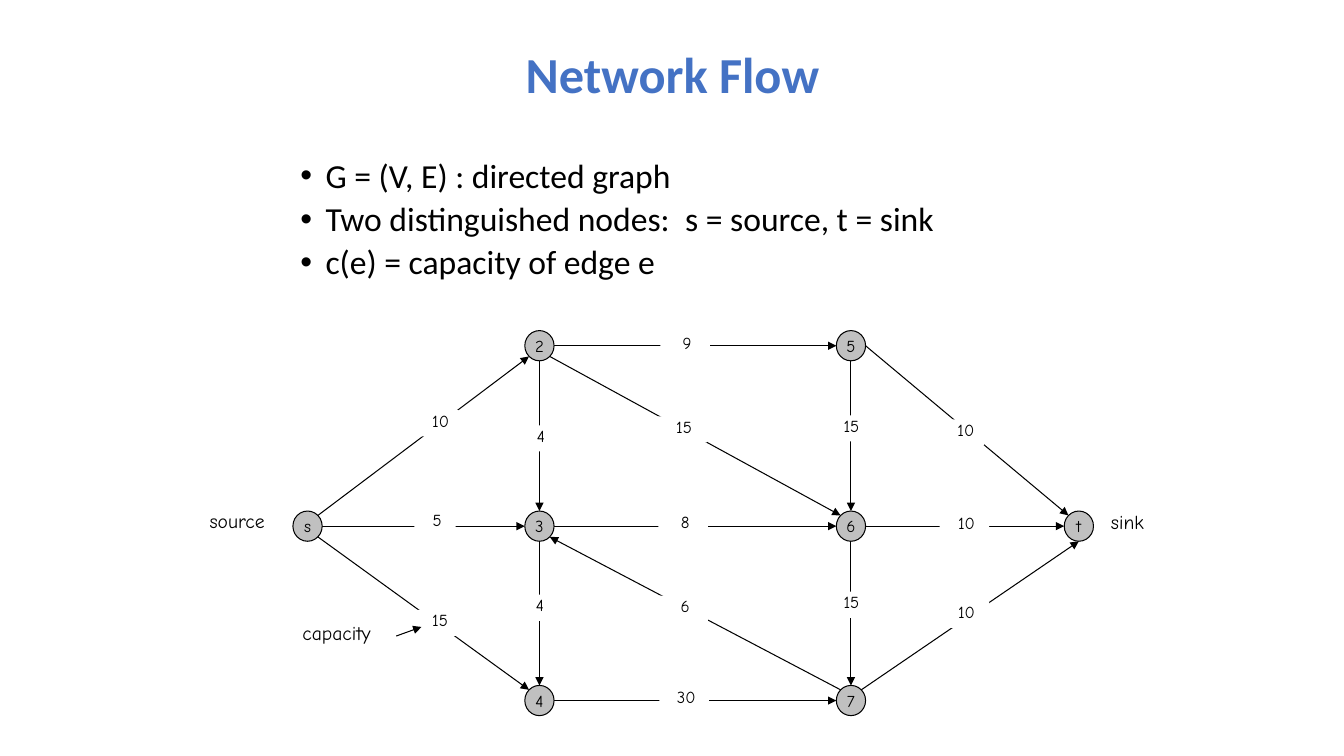
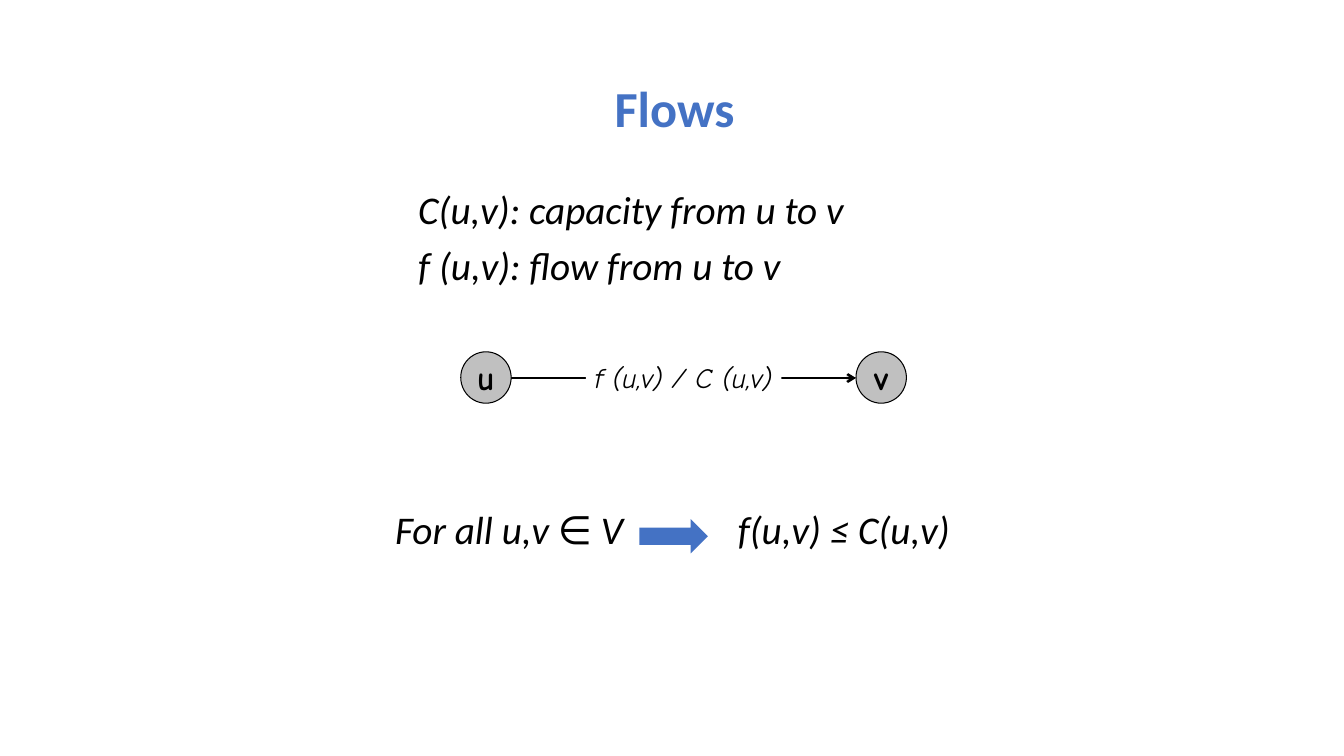
from pptx import Presentation
from pptx.dml.color import RGBColor
from pptx.enum.shapes import MSO_CONNECTOR, MSO_SHAPE
from pptx.enum.text import MSO_ANCHOR, MSO_AUTO_SIZE, PP_ALIGN
from pptx.oxml.ns import qn
from pptx.util import Pt
from lxml.etree import SubElement

SCALE = 9144
BLACK, WHITE, GREY, BLUE = "000000", "FFFFFF", "C0C0C0", "4472C4"
SANS, HAND = "Calibri", "Comic Neue"
INSET = (10, 5, 10, 5)
NONE = (0, 0, 0, 0)
SIDES = {
    "n": (0, -1), "s": (0, 1), "e": (1, 0), "w": (-1, 0),
    "ne": (0.71, -0.71), "nw": (-0.71, -0.71),
    "se": (0.71, 0.71), "sw": (-0.71, 0.71),
}
COLS = (107, 337, 646, 872)
ROWS = (15, 194, 367)
NODES = {
    "s": (0, 1), "2": (1, 0), "3": (1, 1), "4": (1, 2),
    "5": (2, 0), "6": (2, 1), "7": (2, 2), "t": (3, 1),
}
EDGES = (
    ("s", "ne", "2", "sw", "10", 208, 79, 49, 13),
    ("s", "e", "3", "w", "5", 213, 178, 41, 4),
    ("s", "se", "4", "nw", "15", 212, 277, 49, 4),
    ("2", "e", "5", "w", "9", 457, 2, 49, 4),
    ("2", "s", "3", "n", "4", 312, 94, 49, 4),
    ("2", "se", "6", "nw", "15", 454, 85, 49, 4),
    ("3", "e", "6", "w", "8", 455, 180, 49, 4),
    ("3", "s", "4", "n", "4", 311, 262, 49, 4),
    ("4", "e", "7", "w", "30", 456, 353, 49, 4),
    ("5", "s", "6", "n", "15", 620, 84, 49, 4),
    ("5", "e", "t", "nw", "10", 729, 88, 49, 13),
    ("6", "s", "7", "n", "15", 620, 259, 49, 4),
    ("6", "e", "t", "w", "10", 734, 181, 49, 4),
    ("7", "nw", "3", "se", "6", 455, 263, 49, 4),
    ("7", "ne", "t", "s", "10", 734, 269, 49, 4),
)
NOTES = (("source", 0, 172, 85), ("capacity", 92, 283, 101), ("sink", 894, 173, 59))


def px(num):
    """Turn px into EMU."""
    return round(num * SCALE)


def color(code):
    """Turn a hex string into a colour."""
    return RGBColor.from_string(code)


def write(frame, lines, size, font=SANS, ink=BLACK, bold=False, slant=False,
          align=PP_ALIGN.LEFT, anchor=MSO_ANCHOR.TOP, inset=INSET,
          lead=1.0, gap=0, dots=False):
    """Fill a text frame; each line is a list of (text, tracking) runs."""
    frame.word_wrap = True
    frame.auto_size = MSO_AUTO_SIZE.NONE
    frame.vertical_anchor = anchor
    frame.margin_left, frame.margin_top, frame.margin_right, frame.margin_bottom = map(px, inset)
    for num, line in enumerate(lines):
        para = frame.add_paragraph() if num else frame.paragraphs[0]
        para.alignment = align
        para.line_spacing = lead
        para.space_before = Pt(gap if num else 0)
        if dots:
            props = para._p.get_or_add_pPr()
            props.set("marL", str(px(75)))
            props.set("indent", str(px(-25)))
            SubElement(props, qn("a:buFont")).set("typeface", "Arial")
            SubElement(props, qn("a:buChar")).set("char", "•")
        for text, track in line:
            run = para.add_run()
            run.text = text
            face = run.font
            face.name, face.size, face.bold, face.italic = font, Pt(size), bold, slant
            face.color.rgb = color(ink)
            if track:
                run._r.get_or_add_rPr().set("spc", str(track))


def plain(*texts):
    """Make one line of a single run from each text."""
    return [[(text, 0)] for text in texts]


def label(slide, box, lines, size, **style):
    """Add a text box."""
    area = slide.shapes.add_textbox(*map(px, box))
    write(area.text_frame, lines, size, **style)


def shape(slide, kind, box, fill, edge=None):
    """Add a filled shape, outlined if an edge colour is given."""
    item = slide.shapes.add_shape(kind, *map(px, box))
    item.shadow.inherit = False
    item.fill.solid()
    item.fill.fore_color.rgb = color(fill)
    if edge:
        item.line.color.rgb = color(edge)
        item.line.width = Pt(0.75)
    else:
        item.line.fill.background()
    return item


def node(slide, box, name, size, bold=False):
    """Add a round graph node."""
    disc = shape(slide, MSO_SHAPE.OVAL, box, GREY, BLACK)
    write(disc.text_frame, plain(name), size, HAND, bold=bold, inset=NONE,
          align=PP_ALIGN.CENTER, anchor=MSO_ANCHOR.MIDDLE)


def patch(slide, box, text, size, slant=False, shift=0):
    """Add a white label that covers part of an edge."""
    card = shape(slide, MSO_SHAPE.RECTANGLE, box, WHITE)
    write(card.text_frame, plain(text), size, HAND, slant=slant,
          align=PP_ALIGN.CENTER, inset=(shift, 0, 0, 0))


def arrow(slide, start, end, width=0.75, head="triangle"):
    """Add a straight line with a head at its end."""
    line = slide.shapes.add_connector(MSO_CONNECTOR.STRAIGHT, *map(px, start + end))
    line.line.color.rgb = color(BLACK)
    line.line.width = Pt(width)
    SubElement(line.line._get_or_add_ln(), qn("a:tailEnd")).set("type", head)
    SubElement(line._element.spPr, qn("a:effectLst"))


def titled(deck, text, box):
    """Add a slide and set its title."""
    slide = deck.slides.add_slide(deck.slide_layouts[5])
    title = slide.shapes.title
    title.left, title.top, title.width, title.height = map(px, box)
    write(title.text_frame, plain(text), 36, ink=BLUE, bold=True,
          align=PP_ALIGN.CENTER, anchor=MSO_ANCHOR.MIDDLE, lead=0.9)
    return slide


def graph(slide, left, top, wide=29, high=30):
    """Draw the capacity network from its top left corner."""
    spots = {name: (left + COLS[col], top + ROWS[row])
             for name, (col, row) in NODES.items()}

    def port(name, side):
        """Find a point on the rim of a node."""
        (x, y), (dx, dy) = spots[name], SIDES[side]
        return x + dx * wide / 2, y + dy * high / 2

    for tail, out, head, into, cap, x, y, width, shift in EDGES:
        arrow(slide, port(tail, out), port(head, into))
        patch(slide, (left + x, top + y, width, 26), cap, 12, shift=shift)
    for name, (x, y) in spots.items():
        node(slide, (x - wide / 2, y - high / 2, wide, high), name, 12)
    for text, x, y, width in NOTES:
        label(slide, (left + x, top + y, width, 41), plain(text), 14, font=HAND)
    arrow(slide, (left + 195, top + 303), (left + 220, top + 294))


def pair(slide, left, top):
    """Draw the edge from u to v from its top left corner."""
    mid = top + 26
    arrow(slide, (left + 50, mid), (left + 392, mid), 1.75, "arrow")
    patch(slide, (left + 224, top + 9, 94, 34), "C (u,v)", 20, True)
    patch(slide, (left + 124, top + 9, 108, 34), "f (u,v) /", 20, True)
    for name, x in (("u", 0), ("v", 392)):
        node(slide, (left + x, top, 50, 51), name, 24, True)


def rule(slide, left, top):
    """Write the capacity rule from its top left corner."""
    for text, x, width in (("For all u,v ∈ V", 0, 252), ("f(u,v) ≤ C(u,v)", 340, 270)):
        label(slide, (left + x, top, width, 111), plain(text), 28, slant=True, lead=0.9)
    shape(slide, MSO_SHAPE.RIGHT_ARROW, (left + 252, top + 13, 68, 34), BLUE)


def network(deck):
    """Build the slide on the network."""
    slide = titled(deck, "Network Flow", (92, 40, 1150, 74))
    lines = plain("G = (V, E) : directed graph", "c(e) = capacity of edge e")
    lines.insert(1, [("Two distinguished nodes:", 0), (" ", 540), ("s = source, t = sink", 0)])
    label(slide, (238, 153, 858, 152), lines, 24, lead=0.9, gap=5, dots=True)
    graph(slide, 198, 328)


def flows(deck):
    """Build the slide on flows."""
    slide = titled(deck, "Flows", (94, 62, 1150, 97))
    lines = plain("C(u,v): capacity from u to v", "f (u,v): flow from u to v")
    label(slide, (405, 184, 567, 111), lines, 28, slant=True, lead=0.9, gap=10)
    pair(slide, 457, 349)
    rule(slide, 382, 502)


def main():
    """Build and save the deck."""
    deck = Presentation()
    deck.slide_width, deck.slide_height = px(1333), px(750)
    network(deck)
    flows(deck)
    deck.save("out.pptx")


if __name__ == "__main__":
    main()
